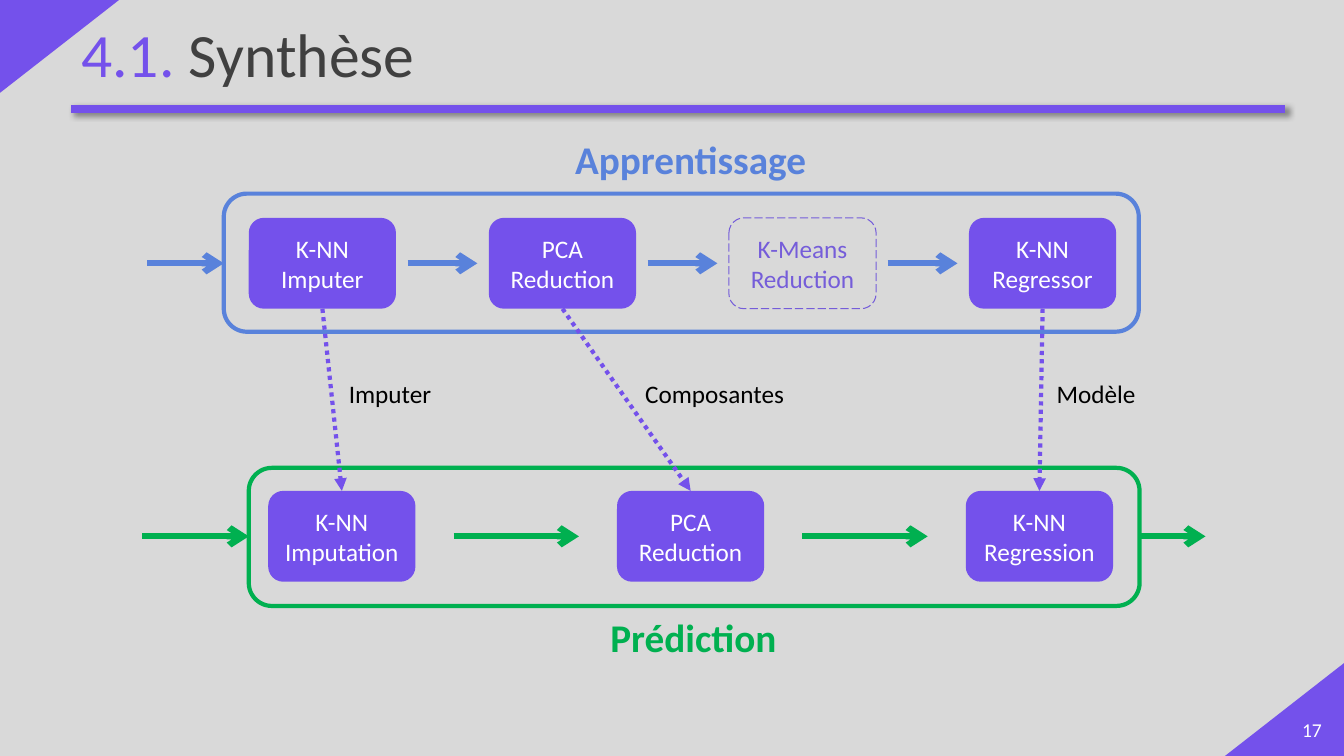
from lxml import etree
from pptx import Presentation
from pptx import util as u
from pptx.dml.color import RGBColor
from pptx.enum import dml, shapes, text
from pptx.oxml.ns import qn

COLORS = {
    "background": "D9D9D9",
    "violet": "7451EB",
    "muted": "755DD9",
    "blue": "5982DB",
    "green": "00B050",
    "title": "404040",
    "white": "FFFFFF",
    "black": "000000",
}
STEP_WIDTH, STEP_HEIGHT = 3.71, 2.29
TRAINING = {"left": 6.27, "top": 5.49, "pitch": 6.05}
PREDICTION = {"left": 6.76, "top": 12.37, "pitch": 8.79}


def rgb(name):
    return RGBColor.from_string(COLORS[name])


def write(box, content, size=18, color="black", bold=False,
          align=text.PP_ALIGN.CENTER, anchor=text.MSO_ANCHOR.TOP, spacing=None):
    frame = box.text_frame
    frame.word_wrap = True
    frame.vertical_anchor = anchor
    pieces = [(content, color)] if isinstance(content, str) else content
    para = frame.paragraphs[0]
    para.alignment = align
    para.line_spacing = spacing
    for index, (words, shade) in enumerate(pieces):
        for row, line in enumerate(words.split("\n")):
            if row:
                para = frame.add_paragraph()
                para.alignment = align
            span = para.add_run()
            span.text = line
            span.font.name = "Calibri"
            span.font.size = u.Pt(size)
            span.font.bold = bold
            span.font.color.rgb = rgb(shade)


def add_label(page, content, left, top, width, height, **style):
    box = page.shapes.add_textbox(u.Cm(left), u.Cm(top), u.Cm(width), u.Cm(height))
    write(box, content, **style)


def add_figure(page, kind, left, top, width, height, fill=None, line=None,
               weight=3, dash=None):
    figure = page.shapes.add_shape(kind, u.Cm(left), u.Cm(top), u.Cm(width), u.Cm(height))
    figure.shadow.inherit = False
    if fill:
        figure.fill.solid()
        figure.fill.fore_color.rgb = rgb(fill)
    else:
        figure.fill.background()
    if line:
        figure.line.color.rgb = rgb(line)
        figure.line.width = u.Pt(weight)
        figure.line.dash_style = dash
    else:
        figure.line.fill.background()
    return figure


def add_corner(page, left, top, rotation):
    corner = add_figure(page, shapes.MSO_SHAPE.RIGHT_TRIANGLE, left, top, 2.34, 3,
                        fill="violet")
    corner.rotation = rotation


def add_frame(page, left, top, width, color):
    add_figure(page, shapes.MSO_SHAPE.ROUNDED_RECTANGLE, left, top, width, 3.48, line=color)


def add_step(page, name, left, top, optional=False):
    style = ({"line": "muted", "weight": 0.75, "dash": dml.MSO_LINE.LONG_DASH}
             if optional else {"fill": "violet"})
    step = add_figure(page, shapes.MSO_SHAPE.ROUNDED_RECTANGLE, left, top,
                      STEP_WIDTH, STEP_HEIGHT, **style)
    write(step, name, color="muted" if optional else "white",
          anchor=text.MSO_ANCHOR.MIDDLE)
    return step


def add_line(page, start, end, color, weight, head=None, dash=None):
    line = page.shapes.add_connector(shapes.MSO_CONNECTOR.STRAIGHT,
                                     *(u.Cm(value) for value in start + end))
    line.line.color.rgb = rgb(color)
    line.line.width = u.Pt(weight)
    line.line.dash_style = dash
    if head:
        etree.SubElement(line.line._get_or_add_ln(), qn("a:tailEnd"), type=head)
    etree.SubElement(line._element.spPr, qn("a:effectLst"))
    return line


def add_arrow(page, left, right, middle, color):
    add_line(page, (left, middle), (right, middle), color, 4.5, head="arrow")


def add_link(page, source, target):
    link = add_line(page, (0, 0), (1, 1), "violet", 3, head="triangle",
                    dash=dml.MSO_LINE.ROUND_DOT)
    link.begin_connect(source, 2)
    link.end_connect(target, 0)


def add_title_rule(page):
    rule = add_line(page, (1.8, 2.74), (32.39, 2.74), "violet", 6)
    effects = rule._element.spPr.find(qn("a:effectLst"))
    shadow = etree.SubElement(effects, qn("a:outerShdw"), blurRad=str(u.Pt(4)),
                              dist=str(u.Pt(3)), dir="2700000", algn="tl",
                              rotWithShape="0")
    shade = etree.SubElement(shadow, qn("a:srgbClr"), val=COLORS["black"])
    etree.SubElement(shade, qn("a:alpha"), val="40000")


def add_pipeline(page, names, row, color, inset, optional=None):
    steps = []
    for index, name in enumerate(names):
        left = row["left"] + index * row["pitch"]
        steps.append(add_step(page, name, left, row["top"], name == optional))
        if index:
            previous_right = left - row["pitch"] + STEP_WIDTH
            add_arrow(page, previous_right + inset, left - inset,
                      row["top"] + STEP_HEIGHT / 2, color)
    return steps


def main():
    deck = Presentation()
    deck.slide_width, deck.slide_height = u.Cm(33.87), u.Cm(19.05)
    page = deck.slides.add_slide(deck.slide_layouts[6])
    page.background.fill.solid()
    page.background.fill.fore_color.rgb = rgb("background")

    add_corner(page, 0.33, -0.33, 90)
    add_corner(page, 31.2, 16.38, 270)
    add_title_rule(page)
    add_label(page, [("4.1.", "violet"), (" Synthèse", "title")], 1.8, -0.38, 30.56, 3.68,
              size=44, align=text.PP_ALIGN.LEFT, anchor=text.MSO_ANCHOR.MIDDLE, spacing=0.9)
    add_label(page, "17", 32.39, 17.88, 1.35, 1.02, size=14, color="white",
              anchor=text.MSO_ANCHOR.MIDDLE)

    add_frame(page, 5.64, 4.88, 23.06, "blue")
    add_frame(page, 6.27, 11.79, 22.45, "green")
    add_label(page, "Apprentissage", 14.05, 3.28, 6.71, 1.45, size=28, color="blue", bold=True)
    add_label(page, "Prédiction", 14.12, 15.32, 6.71, 1.45, size=28, color="green", bold=True)

    optional = "K-Means\nReduction"
    imputer, reducer, _, regressor = add_pipeline(
        page, ["K-NN Imputer", "PCA Reduction", optional, "K-NN Regressor"],
        TRAINING, "blue", 0.29, optional)
    predictors = add_pipeline(
        page, ["K-NN Imputation", "PCA Reduction", "K-NN Regression"],
        PREDICTION, "green", 0.96)
    for source, target in zip((imputer, reducer, regressor), predictors):
        add_link(page, source, target)

    for name, left, width in (("Imputer", 8.28, 3.1), ("Composantes", 15.47, 5.08),
                              ("Modèle", 26.11, 3.02)):
        add_label(page, name, left, 9.42, width, 1.02)
    for left, right, row, color in ((3.71, 5.64, TRAINING, "blue"),
                                    (3.58, 6.27, PREDICTION, "green"),
                                    (28.72, 30.38, PREDICTION, "green")):
        add_arrow(page, left, right, row["top"] + STEP_HEIGHT / 2, color)

    deck.save("out.pptx")


if __name__ == "__main__":
    main()
